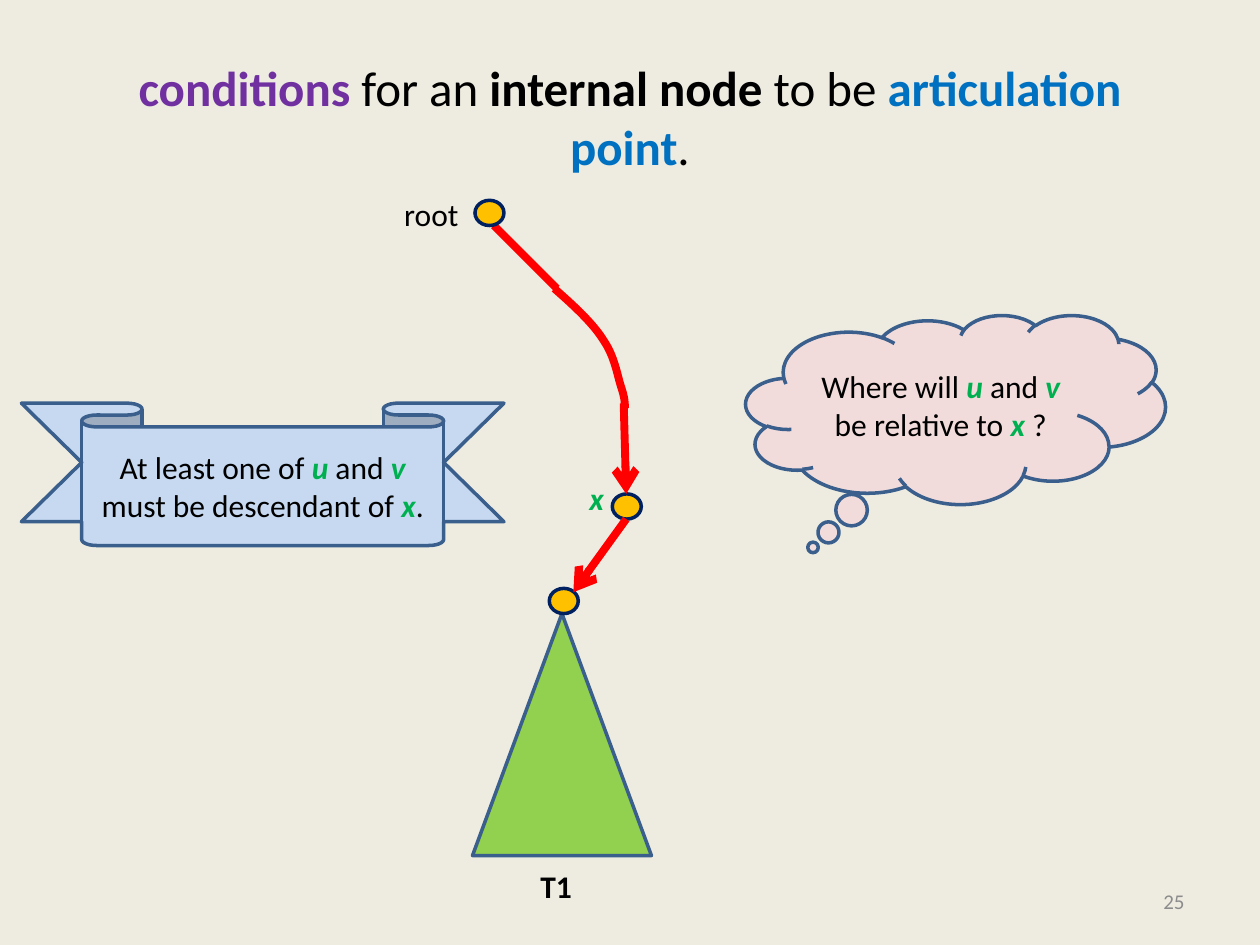
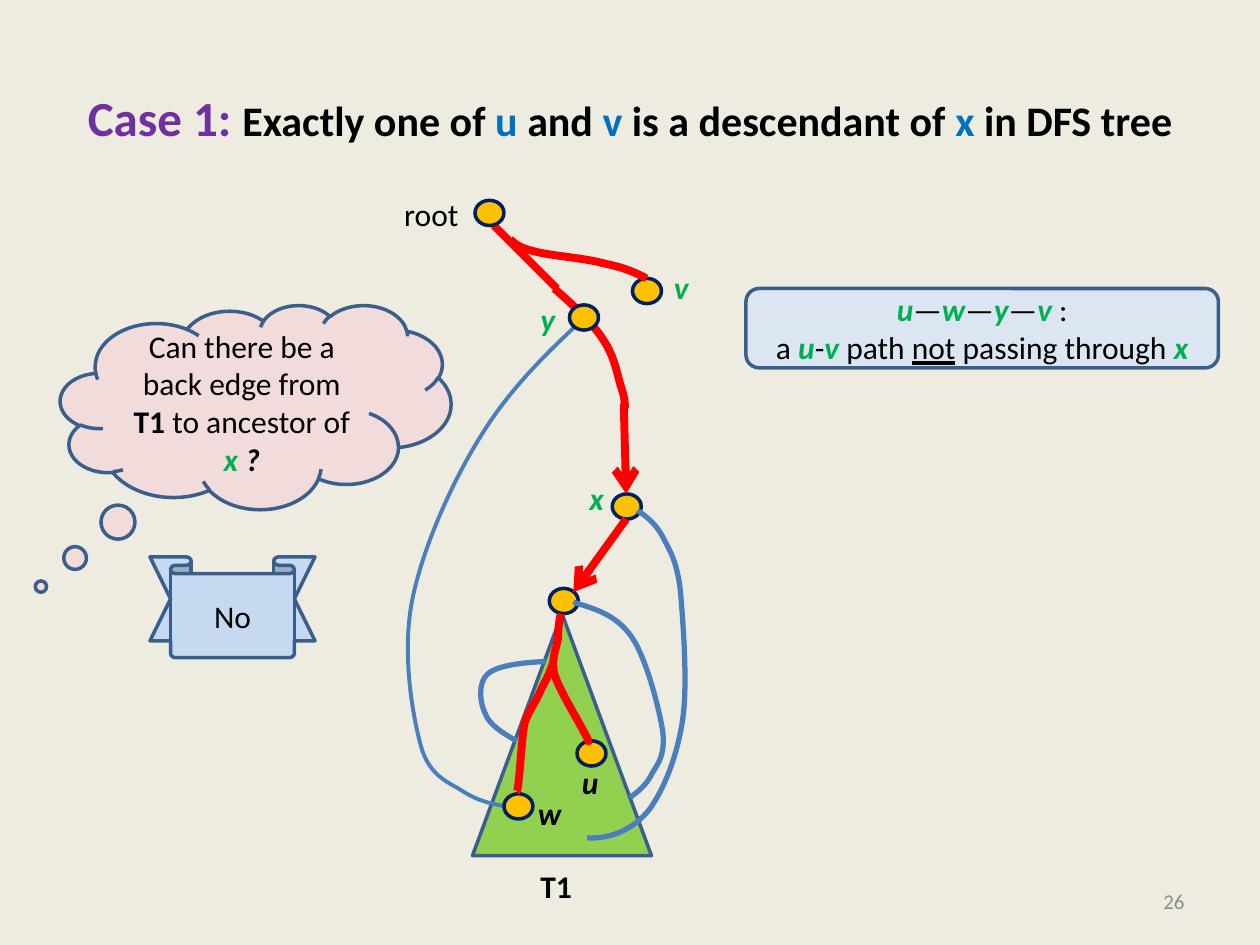
from dataclasses import dataclass

from lxml import etree
from pptx import Presentation
from pptx import util as u
from pptx.dml.color import RGBColor
from pptx.enum import shapes, text
from pptx.oxml.ns import qn


@dataclass(frozen=True)
class Theme:
    font: str = "Calibri"
    background: str = "EEECE1"
    black: str = "000000"
    purple: str = "7030A0"
    blue: str = "0070C0"
    green: str = "00B050"
    grey: str = "8C8C8C"
    outline: str = "3A5F8C"
    node: str = "FFC000"
    node_outline: str = "002060"
    subtree: str = "92D050"
    tree_edge: str = "FF0000"
    back_edge: str = "4B7EBC"
    ribbon: str = "C6D9F1"
    cloud: str = "F2DCDB"
    panel: str = "DCE6F2"
    title_size: float = 28
    subtitle_size: float = 24
    body_size: float = 18
    number_size: float = 12
    outline_width: float = 2
    tree_width: float = 4.5
    back_width: float = 3
    long_back_width: float = 2.25


THEME = Theme()
SHAPE = shapes.MSO_SHAPE
ALIGN = text.PP_ALIGN


@dataclass(frozen=True)
class Box:
    left: float
    top: float
    width: float
    height: float

    def point(self, x, y):
        return u.Inches(self.left + x), u.Inches(self.top + y)

    def inner(self, x, y, width, height):
        return Box(self.left + x, self.top + y, width, height)

    def lengths(self):
        return [u.Inches(value) for value in (self.left, self.top, self.width, self.height)]


TITLE_BOX = Box(0.5, 0.3, 9, 1.25)
NUMBER_BOX = Box(7.17, 6.95, 2.33, 0.4)
TREE_BOX = Box(3, 1.5, 3, 5.8)


def rgb(value):
    return RGBColor.from_string(value)


def plain(words, **style):
    return words, style


def bold(words, color=THEME.black, **style):
    return words, dict(bold=True, color=color, **style)


def variable(words, color=THEME.green):
    return bold(words, color, italic=True)


def write(frame, *lines, size=THEME.body_size, align=ALIGN.CENTER):
    for index, line in enumerate(lines):
        paragraph = frame.add_paragraph() if index else frame.paragraphs[0]
        paragraph.alignment = align
        paragraph.font.name = THEME.font
        paragraph.font.size = u.Pt(size)
        for words, style in line:
            run = paragraph.add_run()
            run.text = words
            run.font.name = THEME.font
            run.font.size = u.Pt(style.get("size", size))
            run.font.bold = style.get("bold", False)
            run.font.italic = style.get("italic", False)
            run.font.underline = style.get("underline", False)
            run.font.color.rgb = rgb(style.get("color", THEME.black))


def add_title(slide, *runs):
    title = slide.shapes.title
    title.left, title.top, title.width, title.height = TITLE_BOX.lengths()
    title.text_frame.vertical_anchor = text.MSO_ANCHOR.MIDDLE
    write(title.text_frame, runs, size=THEME.title_size)


def add_number(slide, number):
    frame = slide.shapes.add_textbox(*NUMBER_BOX.lengths()).text_frame
    frame.word_wrap = True
    frame.vertical_anchor = text.MSO_ANCHOR.MIDDLE
    write(frame, [plain(str(number), color=THEME.grey)],
          size=THEME.number_size, align=ALIGN.RIGHT)


def add_label(slide, box, run):
    frame = slide.shapes.add_textbox(*box.lengths()).text_frame
    frame.word_wrap = False
    frame.auto_size = text.MSO_AUTO_SIZE.SHAPE_TO_FIT_TEXT
    write(frame, [run], align=ALIGN.LEFT)


def add_filled(slide, kind, box, fill, outline=THEME.outline, adjustments=(), lines=()):
    shape = slide.shapes.add_shape(kind, *box.lengths())
    shape.shadow.inherit = False
    shape.fill.solid()
    shape.fill.fore_color.rgb = rgb(fill)
    shape.line.color.rgb = rgb(outline)
    shape.line.width = u.Pt(THEME.outline_width)
    for index, value in enumerate(adjustments):
        shape.adjustments[index] = value
    if lines:
        shape.text_frame.word_wrap = True
        shape.text_frame.vertical_anchor = text.MSO_ANCHOR.MIDDLE
        write(shape.text_frame, *lines)


def add_ribbon(slide, box, *lines):
    add_filled(slide, SHAPE.DOWN_RIBBON, box, THEME.ribbon,
               adjustments=(0.167, 0.75), lines=lines)


def add_cloud(slide, box, tail, *lines):
    add_filled(slide, SHAPE.CLOUD_CALLOUT, box, THEME.cloud, adjustments=tail, lines=lines)


def add_node(slide, box, x, y):
    add_filled(slide, SHAPE.OVAL, box.inner(x, y, 0.23, 0.2), THEME.node, THEME.node_outline)


def add_edge(slide, box, start, end, arrow=True):
    edge = slide.shapes.add_connector(
        shapes.MSO_CONNECTOR.STRAIGHT, *box.point(*start), *box.point(*end))
    edge.line.color.rgb = rgb(THEME.tree_edge)
    edge.line.width = u.Pt(THEME.tree_width)
    properties = edge.element.spPr
    if arrow:
        etree.SubElement(properties.find(qn("a:ln")), qn("a:tailEnd"), type="arrow")
    etree.SubElement(properties, qn("a:effectLst"))


def add_curve(slide, box, points, color=THEME.tree_edge, width=THEME.tree_width):
    start, *controls = [box.point(*point) for point in points]
    builder = slide.shapes.build_freeform(*start)
    builder.add_line_segments(controls, close=False)
    curve = builder.convert_to_shape()
    segments = curve.element.findall(".//" + qn("a:lnTo"))
    outline = segments[0].getparent()
    for first in range(0, len(segments), 3):
        bezier = etree.SubElement(outline, qn("a:cubicBezTo"))
        for segment in segments[first:first + 3]:
            bezier.append(segment[0])
            outline.remove(segment)
    curve.shadow.inherit = False
    curve.fill.background()
    curve.line.color.rgb = rgb(color)
    curve.line.width = u.Pt(width)


def draw_tree(slide, box):
    add_filled(slide, SHAPE.ISOSCELES_TRIANGLE, box.inner(0.75, 3.37, 1.42, 1.92), THEME.subtree)
    add_node(slide, box, 1.86, 2.42)
    add_node(slide, box, 1.36, 3.17)
    add_edge(slide, box, (1.97, 2.62), (1.55, 3.2))
    add_edge(slide, box, (1.95, 1.7), (1.97, 2.42))
    add_curve(slide, box, [
        (1.4, 0.79), (1.56, 0.93), (1.71, 1.07), (1.79, 1.2), (1.88, 1.33),
        (1.9, 1.48), (1.93, 1.57), (1.96, 1.66), (1.96, 1.7), (1.96, 1.74)])
    add_edge(slide, box, (0.92, 0.29), (1.42, 0.79), arrow=False)
    add_node(slide, box, 0.77, 0.09)
    add_label(slide, box.inner(0.11, 0, 0.64, 0.4), plain("root"))
    add_label(slide, box.inner(1.58, 2.25, 0.32, 0.4), variable("x"))
    add_label(slide, box.inner(1.19, 5.33, 0.45, 0.4), bold("T1"))


def draw_back_edges(slide, box):
    inside_left = [
        (1.1, 4.38), (0.99, 4.32), (0.88, 4.25), (0.85, 4.16), (0.81, 4.08),
        (0.79, 3.92), (0.87, 3.85), (0.95, 3.78), (1.14, 3.76), (1.33, 3.75)]
    to_subtree_root = [
        (2, 4.83), (2.07, 4.78), (2.14, 4.72), (2.18, 4.63), (2.23, 4.55), (2.28, 4.49),
        (2.26, 4.3), (2.23, 4.12), (2.13, 3.72), (2.01, 3.55), (1.89, 3.38), (1.72, 3.33),
        (1.55, 3.28)]
    to_x = [
        (2.06, 2.55), (2.13, 2.6), (2.2, 2.65), (2.26, 2.76), (2.31, 2.86), (2.37, 2.94),
        (2.4, 3.18), (2.42, 3.42), (2.46, 3.91), (2.42, 4.2), (2.38, 4.49), (2.27, 4.77),
        (2.15, 4.93), (2.02, 5.09), (1.84, 5.16), (1.66, 5.15)]
    w_to_y = [
        (1.09, 4.91), (0.95, 4.89), (0.82, 4.87), (0.69, 4.79), (0.57, 4.71), (0.41, 4.67),
        (0.34, 4.42), (0.27, 4.16), (0.19, 3.68), (0.27, 3.27), (0.35, 2.86), (0.58, 2.34),
        (0.81, 1.97), (1.04, 1.59), (1.34, 1.3), (1.64, 1.02)]
    for points in (inside_left, to_subtree_root, to_x):
        add_curve(slide, box, points, THEME.back_edge, THEME.back_width)
    add_curve(slide, box, w_to_y, THEME.back_edge, THEME.long_back_width)


def draw_descendants(slide, box):
    to_u = [
        (1.45, 3.37), (1.44, 3.42), (1.43, 3.48), (1.43, 3.56), (1.42, 3.64), (1.37, 3.73),
        (1.4, 3.85), (1.44, 3.98), (1.59, 4.22), (1.63, 4.3), (1.68, 4.39), (1.67, 4.39),
        (1.67, 4.38)]
    to_v = [
        (1.05, 0.4), (1.09, 0.44), (1.13, 0.47), (1.26, 0.5), (1.38, 0.53),
        (1.65, 0.55), (1.79, 0.59), (1.94, 0.62), (2.04, 0.66), (2.13, 0.71)]
    to_w = [
        (1.39, 3.76), (1.37, 3.82), (1.34, 3.89), (1.3, 3.96), (1.27, 4.04),
        (1.2, 4.14), (1.17, 4.22), (1.14, 4.3), (1.12, 4.8), (1.1, 4.78)]
    nodes = [
        ("u", THEME.black, (1.58, 4.38), (1.52, 4.51, 0.34, 0.4), to_u),
        ("v", THEME.green, (2.02, 0.71), (2.25, 0.58, 0.32, 0.4), to_v),
        ("w", THEME.black, (1, 4.8), (1.17, 4.75, 0.39, 0.4), to_w),
        ("y", THEME.green, (1.52, 0.92), (1.19, 0.83, 0.32, 0.4), None),
    ]
    for name, color, corner, label, branch in nodes:
        add_node(slide, box, *corner)
        if branch:
            add_curve(slide, box, branch)
        add_label(slide, box.inner(*label), variable(name, color))


def add_tree_slide(presentation, number, *title_runs):
    slide = presentation.slides.add_slide(presentation.slide_layouts[5])
    add_title(slide, *title_runs)
    add_number(slide, number)
    draw_tree(slide, TREE_BOX)
    return slide


def build_conditions(presentation):
    slide = add_tree_slide(
        presentation, 25, bold("conditions ", THEME.purple), plain("for an "),
        bold("internal node "), plain("to be "),
        bold("articulation point", THEME.blue), plain("."))
    add_ribbon(slide, Box(0.17, 3.2, 3.83, 1.13), [
        plain("At least one of "), variable("u"), plain(" and "), variable("v"),
        plain(" must be descendant of "), variable("x"), plain(".")])
    add_cloud(slide, Box(5.92, 2.5, 3.33, 1.5), (-0.34, 0.73), [
        plain("Where will "), variable("u "), plain("and "), variable("v "),
        plain("be relative to "), variable("x "), plain("?")])


def build_case_one(presentation):
    words = [("Exactly one of ", THEME.black), ("u ", THEME.blue), ("and ", THEME.black),
             ("v ", THEME.blue), ("is a descendant of ", THEME.black), ("x ", THEME.blue),
             ("in DFS tree", THEME.black)]
    slide = add_tree_slide(
        presentation, 26, bold("Case 1: ", THEME.purple),
        *[bold(word, color, size=THEME.subtitle_size) for word, color in words])
    draw_back_edges(slide, TREE_BOX)
    draw_descendants(slide, TREE_BOX)
    add_ribbon(slide, Box(1.19, 4.42, 1.31, 0.8), [plain("No")])
    add_filled(slide, SHAPE.ROUNDED_RECTANGLE, Box(5.92, 2.29, 3.75, 0.63), THEME.panel, lines=[
        [variable("u"), plain("—"), variable("w"), plain("—"), variable("y"), plain("—"),
         variable("v"), plain(" :")],
        [plain("a "), variable("u"), plain("-"), variable("v"), plain(" path "),
         plain("not", underline=True), plain(" passing through "), variable("x")]])
    add_cloud(slide, Box(0.48, 2.42, 3.1, 1.62), (-0.55, 0.88), [
        plain("Can there be a back edge from "), bold("T1"), plain(" to ancestor of "),
        variable("x"), variable(" ?", THEME.black)])


def main():
    presentation = Presentation()
    presentation.slide_width, presentation.slide_height = u.Inches(10), u.Inches(7.5)
    background = presentation.slide_master.background.fill
    background.solid()
    background.fore_color.rgb = rgb(THEME.background)
    build_conditions(presentation)
    build_case_one(presentation)
    presentation.save("out.pptx")


if __name__ == "__main__":
    main()
